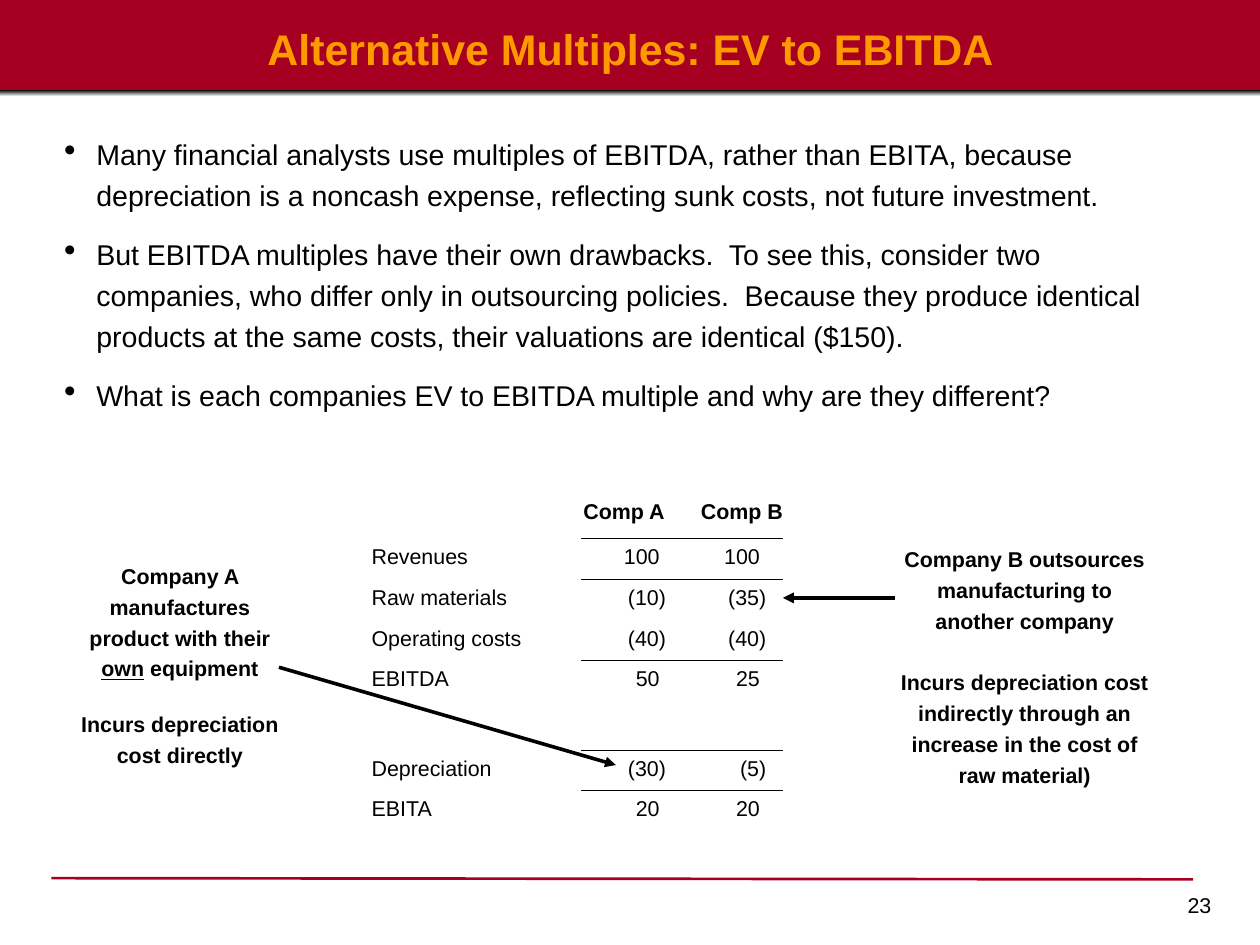
"""Build the slide on EV to EBITDA multiples."""
from dataclasses import dataclass

from lxml.etree import SubElement
from pptx import Presentation
from pptx.dml.color import RGBColor as Color
from pptx.enum.shapes import MSO_CONNECTOR as Connector, MSO_SHAPE as Shape
from pptx.enum.text import MSO_ANCHOR as Anchor, PP_ALIGN as Align
from pptx.oxml import parse_xml
from pptx.oxml.ns import nsdecls, qn
from pptx.util import Inches, Pt


@dataclass(frozen=True)
class Theme:
    """Colours, type sizes and line widths of the slide."""
    font: str = "Arial"
    red: Color = Color(0xA5, 0x00, 0x21)
    orange: Color = Color(0xFF, 0x99, 0x00)
    black: Color = Color(0, 0, 0)
    white: Color = Color(255, 255, 255)
    title: int = 24
    body: int = 16
    small: int = 12
    hairline: float = 0.75
    rule: float = 1.5
    arrow: float = 2


THEME = Theme()
PLAIN_TABLE = "{2D5ABB26-0587-4C30-8999-92F81FD0307C}"
BULLETS = [
    "Many financial analysts use multiples of EBITDA, rather than EBITA, because "
    "depreciation is a noncash expense, reflecting sunk costs, not future investment.",
    "But EBITDA multiples have their own drawbacks.  To see this, consider two "
    "companies, who differ only in outsourcing policies.  Because they produce "
    "identical products at the same costs, their valuations are identical ($150).",
    "What is each companies EV to EBITDA multiple and why are they different?",
]
NOTE_A = [
    ["Company A manufactures product with their ", "own", " equipment"],
    "Incurs depreciation cost directly",
]
NOTE_B = [
    "Company B outsources manufacturing to another company",
    "Incurs depreciation cost indirectly through an increase in the cost of raw material)",
]
STATEMENT = [
    (0.32, "", "Comp A", "Comp B"),
    (0.32, "Revenues", "100", "100"),
    (0.32, "Raw materials", "(10)", "(35)"),
    (0.31, "Operating costs", "(40)", "(40)"),
    (0.7, "EBITDA", "50", "25"),
    (0.31, "Depreciation", "(30)", "(5)"),
    (0.32, "EBITA", "20", "20"),
]
COLUMN_WIDTHS = (1.63, 0.88, 0.69)
HEADER_INSETS = (0, 0.23, 0)
NUMBER_INSETS = (0, 0.27, 0.18)
RULED_ROWS = (0, 3, 5)


def apply(target, values):
    """Set each named attribute on the target."""
    for name, value in values.items():
        setattr(target, name, value)


def write(para, content, size, bold=False, color=THEME.black, **layout):
    """Fill a paragraph; in a list of spans, every second one is underlined."""
    apply(para, layout)
    spans = [content] if isinstance(content, str) else content
    for index, text in enumerate(spans):
        span = para.add_run()
        span.text = text
        apply(span.font, {"name": THEME.font, "size": Pt(size), "bold": bold,
                          "underline": index % 2 == 1})
        span.font.color.rgb = color


def add_text(page, place, paragraphs, size, inset=(0, 0), anchor=Anchor.TOP, **style):
    """Add a wrapped text box and return its paragraphs."""
    frame = page.shapes.add_textbox(*map(Inches, place)).text_frame
    side, edge = map(Inches, inset)
    apply(frame, {"word_wrap": True, "vertical_anchor": anchor,
                  "margin_left": side, "margin_right": side,
                  "margin_top": edge, "margin_bottom": edge})
    for index, content in enumerate(paragraphs):
        para = frame.add_paragraph() if index else frame.paragraphs[0]
        write(para, content, size, **style)
    return frame.paragraphs


def add_bullets(page, place, items):
    """Add the bulleted body text."""
    paragraphs = add_text(page, place, items, THEME.body, (0, 0.05), Anchor.MIDDLE,
                          line_spacing=1.2, space_after=Pt(10))
    for para in paragraphs:
        layout = para._p.get_or_add_pPr()
        layout.set("marL", str(Inches(0.25)))
        layout.set("indent", str(Inches(-0.25)))
        SubElement(layout, qn("a:buSzPct"), val="120000")
        SubElement(layout, qn("a:buChar"), char="•")


def add_note(page, place, paragraphs, gap):
    """Add a bold centred note with a gap between its paragraphs."""
    add_text(page, place, paragraphs, THEME.small, bold=True,
             alignment=Align.CENTER, line_spacing=1.2, space_after=Pt(gap))


def add_band(page, place):
    """Add an unlined rectangle and return its fill."""
    band = page.shapes.add_shape(Shape.RECTANGLE, *map(Inches, place))
    band.shadow.inherit = False
    band.line.fill.background()
    return band.fill


def add_line(page, start, end, color, width, arrow=False):
    """Add a straight line, with an arrowhead at its end if wanted."""
    line = page.shapes.add_connector(Connector.STRAIGHT, *map(Inches, start + end))
    line.line.color.rgb = color
    line.line.width = Pt(width)
    if arrow:
        SubElement(line.line._get_or_add_ln(), qn("a:tailEnd"), type="triangle")
    SubElement(line.element.spPr, qn("a:effectLst"))


def add_border(cell, side):
    """Draw a thin black border on one side of a cell."""
    cell._tc.get_or_add_tcPr().insert(0, parse_xml(
        f'<a:{side} {nsdecls("a")} w="{Pt(THEME.hairline)}"><a:solidFill>'
        f'<a:srgbClr val="{THEME.black}"/></a:solidFill></a:{side}>'))


def add_statement(page, left, top):
    """Add the income statement of both companies as a table."""
    heights = [row[0] for row in STATEMENT]
    size = sum(COLUMN_WIDTHS), sum(heights)
    holder = page.shapes.add_table(len(STATEMENT), len(COLUMN_WIDTHS),
                                   *map(Inches, (left, top) + size))
    next(holder.element.iter(qn("a:tableStyleId"))).text = PLAIN_TABLE
    table = holder.table
    apply(table, {"first_row": False, "horz_banding": False})
    for column, width in zip(table.columns, COLUMN_WIDTHS):
        column.width = Inches(width)
    for row, (height, *texts) in enumerate(STATEMENT):
        table.rows[row].height = Inches(height)
        insets = NUMBER_INSETS if row else HEADER_INSETS
        for column, text in enumerate(texts):
            cell = table.cell(row, column)
            hang = 0.05 if text.endswith(")") else 0
            apply(cell, {"margin_left": 0, "margin_top": Inches(0.05), "margin_bottom": 0,
                         "margin_right": Inches(insets[column] - hang)})
            cell.fill.background()
            write(cell.text_frame.paragraphs[0], text, THEME.small, bold=row == 0,
                  alignment=Align.RIGHT if column else Align.LEFT)
            if column and row in RULED_ROWS:
                add_border(cell, "lnB")
            if column and row - 1 in RULED_ROWS:
                add_border(cell, "lnT")


def add_frame(page):
    """Add the title band, its shade, the footer rule and the page number."""
    band = add_band(page, (0, 0, 9.8, 0.71))
    band.solid()
    band.fore_color.rgb = THEME.red
    shade = add_band(page, (0, 0.7, 9.8, 0.05))
    shade.gradient()
    shade.gradient_angle = 270
    for stop, color in zip(shade.gradient_stops, (THEME.black, THEME.white)):
        stop.color.rgb = color
    add_line(page, (0.4, 6.83), (9.28, 6.84), THEME.red, THEME.rule)
    add_text(page, (7.19, 6.89, 2.33, 0.28), ["23"], THEME.small, (0.1, 0.05),
             alignment=Align.RIGHT)


def main():
    """Build and save the deck."""
    deck = Presentation()
    apply(deck, {"slide_width": Inches(9.8), "slide_height": Inches(7.35)})
    page = deck.slides.add_slide(deck.slide_layouts[6])
    add_frame(page)
    add_text(page, (0.19, 0.18, 9.43, 0.4), ["Alternative Multiples: EV to EBITDA"],
             THEME.title, bold=True, color=THEME.orange, alignment=Align.CENTER)
    add_bullets(page, (0.5, 0.96, 8.66, 2.3), BULLETS)
    add_statement(page, 2.89, 3.84)
    add_note(page, (0.6, 4.34, 1.6, 1.64), NOTE_A, 14)
    add_note(page, (6.98, 4.21, 1.98, 1.92), NOTE_B, 17)
    add_line(page, (2.17, 5.19), (4.79, 5.95), THEME.black, THEME.arrow, arrow=True)
    add_line(page, (6.96, 4.65), (6.09, 4.65), THEME.black, THEME.arrow, arrow=True)
    deck.save("out.pptx")


if __name__ == "__main__":
    main()
